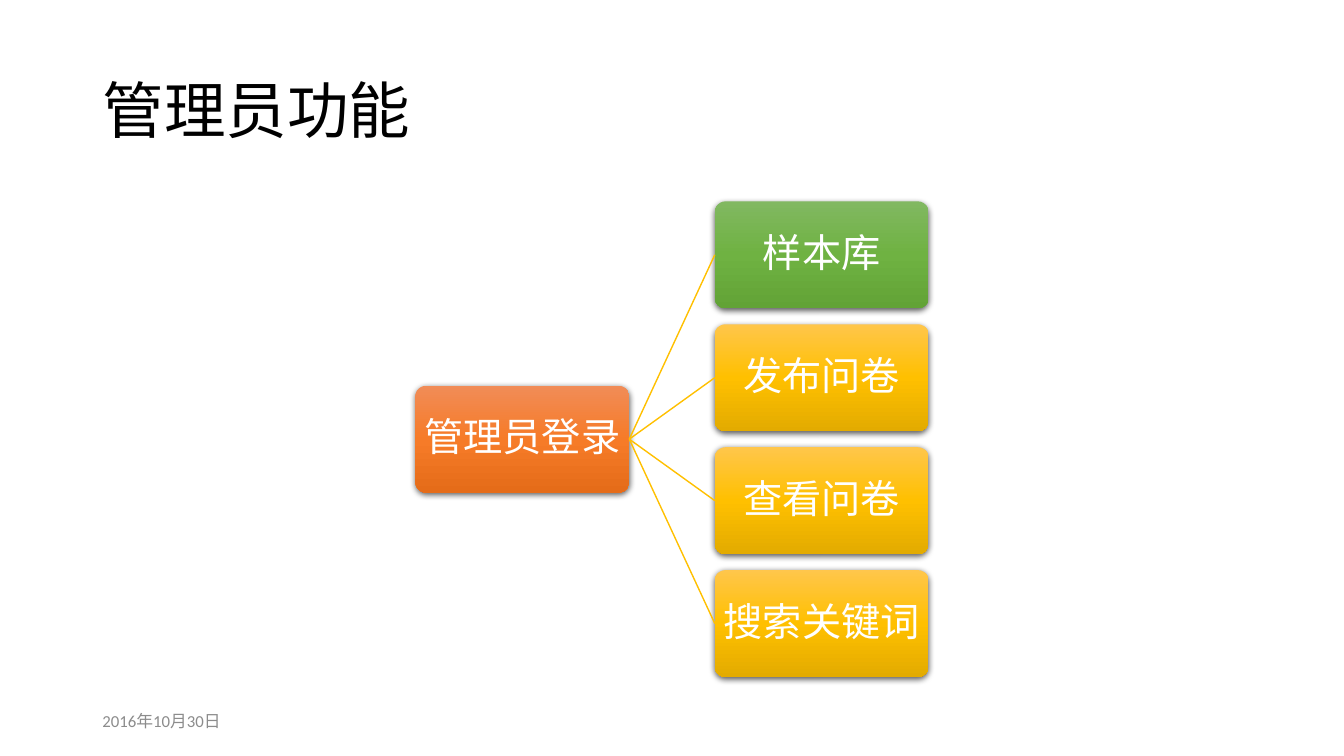
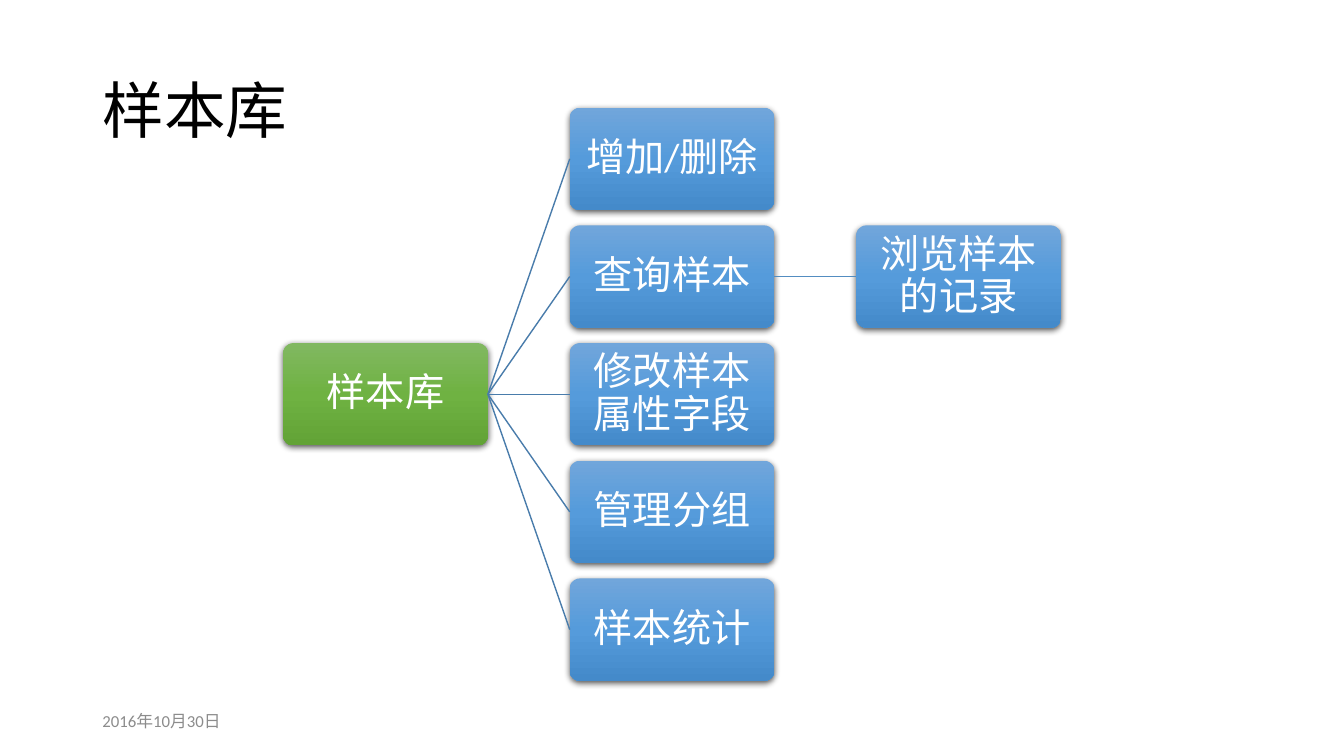
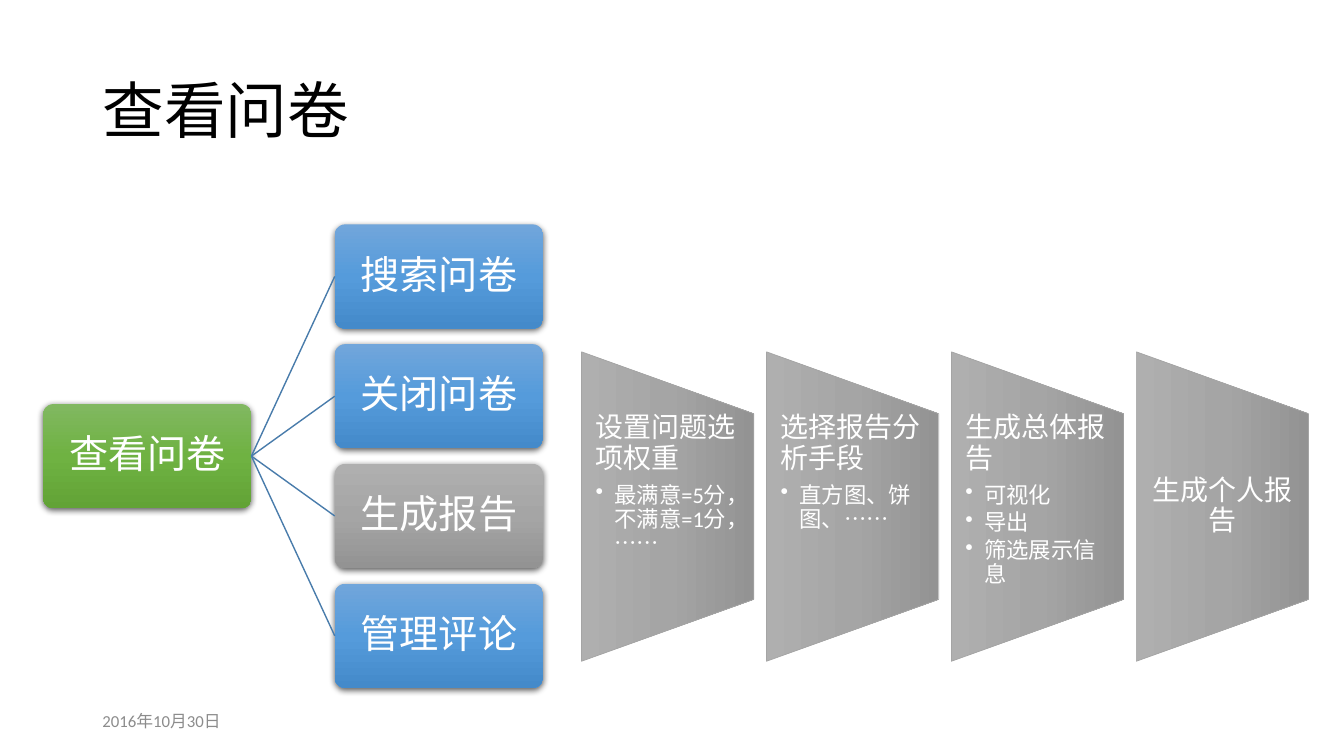
"""Build three slides on the functions of a questionnaire system."""
from copy import deepcopy

from pptx import Presentation, util as u
from pptx.dml.color import RGBColor
from pptx.enum import shapes, text
from pptx.oxml.ns import qn
from lxml import etree

Pt = u.Pt
FONT = "Calibri"
C = {"title": "000000", "footer": "8C8C8C", "white": "FFFFFF", "gold_line": "FFC000",
     "blue_line": "497CAB", "record_line": "538DC1", "step_line": "A5A5A5"}
GRADIENTS = {
    "orange": ("F18C57", "F67B28", "E56C19"),
    "green": ("81B861", "6FB242", "62A336"),
    "gold": ("FFC64B", "FFC000", "E3AB00"),
    "blue": ("71A6DB", "559BDB", "448ACA"),
    "gray": ("AFAFAF", "A5A5A5", "939393"),
}


def rgb(name):
    """Return the named colour."""
    return RGBColor.from_string(C[name])


def write(tf, content, size, color="white", align=text.PP_ALIGN.LEFT,
          anchor=text.MSO_ANCHOR.MIDDLE, spacing=0.9, after=0, bullet=False,
          margins=(7.2, 3.6), more=False):
    """Write one formatted paragraph into a text frame."""
    tf.word_wrap = True
    tf.auto_size = text.MSO_AUTO_SIZE.NONE
    tf.vertical_anchor = anchor
    tf.margin_left = tf.margin_right = Pt(margins[0])
    tf.margin_top = tf.margin_bottom = Pt(margins[1])
    p = tf.add_paragraph() if more else tf.paragraphs[0]
    p.alignment, p.line_spacing = align, spacing
    p.space_before, p.space_after = Pt(0), Pt(after)
    if bullet:
        pPr = p._p.get_or_add_pPr()
        pPr.set("marL", str(Pt(13.5)))
        pPr.set("indent", str(-Pt(13.5)))
        etree.SubElement(pPr, qn("a:buChar"), char="•")
    r = p.add_run()
    r.text = content
    r.font.size, r.font.name = Pt(size), FONT
    r.font.color.rgb = rgb(color)


def shade(sp, name):
    """Fill a shape with a three-stop gradient from top to bottom."""
    sp.fill.gradient()
    sp.fill.gradient_angle = 270
    stops = sp._element.spPr.find(".//" + qn("a:gsLst"))
    stops.append(deepcopy(stops[0]))
    for i, stop in enumerate(sp.fill.gradient_stops):
        stop.position = i / 2
        stop.color.rgb = RGBColor.from_string(GRADIENTS[name][i])


def add_node(s, x, y, w, h, label, gradient):
    """Add a shadowed rounded box with a centred label."""
    sp = s.shapes.add_shape(shapes.MSO_SHAPE.ROUNDED_RECTANGLE, Pt(x), Pt(y), Pt(w), Pt(h))
    sp.adjustments[0] = 0.1
    shade(sp, gradient)
    sp.line.fill.background()
    sp.shadow.inherit = False
    effects = sp._element.spPr.find(qn("a:effectLst"))
    shadow = etree.SubElement(effects, qn("a:outerShdw"), blurRad=str(Pt(4.5)),
                              dist=str(Pt(1.5)), dir="5400000", algn="ctr", rotWithShape="0")
    black = etree.SubElement(shadow, qn("a:srgbClr"), val="000000")
    etree.SubElement(black, qn("a:alpha"), val="63000")
    write(sp.text_frame, label, 28, align=text.PP_ALIGN.CENTER, margins=(3.6, 3.6))
    return sp


def link(s, parent, child, color):
    """Join the right side of one box to the left side of another."""
    cn = s.shapes.add_connector(shapes.MSO_CONNECTOR.STRAIGHT, 0, 0, 0, 0)
    cn.begin_connect(parent, 3)
    cn.end_connect(child, 1)
    cn.line.color.rgb = rgb(color)
    cn.line.width = Pt(1)
    etree.SubElement(cn._element.spPr, qn("a:effectLst"))


def add_tree(s, x, mid, w, root, branches, line):
    """Draw a root box at the left and its branches, centred on mid."""
    h = w / 2
    step_x, step_y = 1.4 * w, 1.15 * h
    parent = add_node(s, x, mid - h / 2, w, h, *root)
    for i, (label, gradient, *records) in enumerate(branches):
        y = mid - h / 2 + (i - (len(branches) - 1) / 2) * step_y
        child = add_node(s, x + step_x, y, w, h, label, gradient)
        link(s, parent, child, line)
        for record in records:
            leaf = add_node(s, x + 2 * step_x, y, w, h, record, gradient)
            link(s, child, leaf, "record_line")


def add_step(s, x, y, w, h, heading, bullets):
    """Draw one sideways trapezoid with its heading and bullets."""
    sp = s.shapes.add_shape(shapes.MSO_SHAPE.FLOWCHART_MANUAL_OPERATION,
                            Pt(x + (w - h) / 2), Pt(y + (h - w) / 2), Pt(h), Pt(w))
    sp.rotation = 270
    shade(sp, "gray")
    sp.line.color.rgb = rgb("step_line")
    sp.line.width = Pt(0.5)
    sp.shadow.inherit = False
    tf = s.shapes.add_textbox(Pt(x), Pt(y + 0.2 * h), Pt(w), Pt(0.6 * h)).text_frame
    anchor = text.MSO_ANCHOR.TOP if bullets else text.MSO_ANCHOR.MIDDLE
    align = text.PP_ALIGN.LEFT if bullets else text.PP_ALIGN.CENTER
    write(tf, heading, 20, align=align, anchor=anchor, after=7, margins=(10, 0))
    for bullet in bullets:
        write(tf, bullet, 16, anchor=anchor, after=2.5, bullet=True, margins=(10, 0), more=True)


def add_steps(s, x, y, w, h, pitch, steps):
    """Draw a row of steps at an equal pitch."""
    for i, (heading, bullets) in enumerate(steps):
        add_step(s, x + i * pitch, y, w, h, heading, bullets)


def add_slide(prs, title):
    """Add a slide with the shared title and date."""
    s = prs.slides.add_slide(prs.slide_layouts[5])
    sp = s.shapes.title
    sp.left, sp.top, sp.width, sp.height = Pt(66), Pt(28.8), Pt(828), Pt(104.4)
    write(sp.text_frame, title, 44, "title")
    date = s.shapes.add_textbox(Pt(66), Pt(500.4), Pt(216), Pt(28.8))
    write(date.text_frame, "2016年10月30日", 12, "footer", spacing=1.0)
    return s


def main():
    """Build and save the presentation."""
    prs = Presentation()
    prs.slide_width, prs.slide_height = Pt(960), Pt(540)

    s = add_slide(prs, "管理员功能")
    add_tree(s, 296.8, 313.7, 152.7, ("管理员登录", "orange"),
             [("样本库", "green"), ("发布问卷", "gold"),
              ("查看问卷", "gold"), ("搜索关键词", "gold")], "gold_line")

    s = add_slide(prs, "样本库")
    add_tree(s, 202.3, 281.6, 146.2, ("样本库", "green"),
             [("增加/删除", "blue"), ("查询样本", "blue", "浏览样本的记录"),
              ("修改样本属性字段", "blue"), ("管理分组", "blue"),
              ("样本统计", "blue")], "blue_line")

    s = add_slide(prs, "查看问卷")
    add_tree(s, 30.8, 325.8, 148.8, ("查看问卷", "green"),
             [("搜索问卷", "blue"), ("关闭问卷", "blue"),
              ("生成报告", "gray"), ("管理评论", "blue")], "blue_line")
    add_steps(s, 415.4, 251.3, 123, 221, 132.1,
              [("设置问题选项权重", ["最满意=5分，不满意=1分，……"]),
               ("选择报告分析手段", ["直方图、饼图、……"]),
               ("生成总体报告", ["可视化", "导出", "筛选展示信息"]),
               ("生成个人报告", [])])

    prs.save("out.pptx")


if __name__ == "__main__":
    main()
